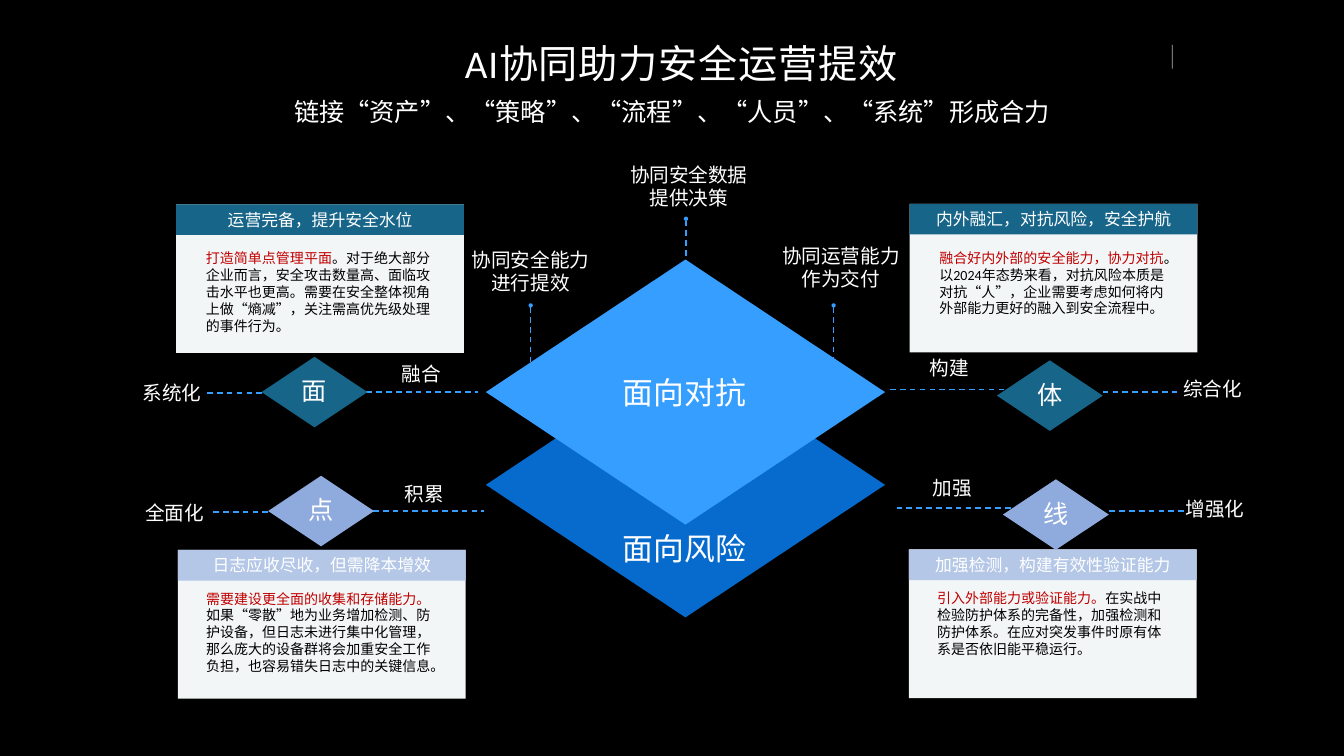
from dataclasses import dataclass

from lxml import etree
from pptx import Presentation
from pptx.dml.color import RGBColor
from pptx.enum.dml import MSO_LINE
from pptx.enum.shapes import MSO_CONNECTOR, MSO_SHAPE
from pptx.enum.text import MSO_ANCHOR, MSO_AUTO_SIZE, PP_ALIGN
from pptx.oxml.ns import qn
from pptx.util import Inches, Pt

DASH = MSO_LINE.DASH
STRAIGHT = MSO_CONNECTOR.STRAIGHT
RECT, DIAMOND = MSO_SHAPE.RECTANGLE, MSO_SHAPE.DIAMOND
TOP, MIDDLE = MSO_ANCHOR.TOP, MSO_ANCHOR.MIDDLE
GROW, FIXED = MSO_AUTO_SIZE.SHAPE_TO_FIT_TEXT, MSO_AUTO_SIZE.NONE
LEFT, CENTER = PP_ALIGN.LEFT, PP_ALIGN.CENTER

BLACK = RGBColor(0x00, 0x00, 0x00)
WHITE = RGBColor(0xFF, 0xFF, 0xFF)
RED = RGBColor(0xC0, 0x00, 0x00)
PAPER = RGBColor(0xF3, 0xF6, 0xF7)
SKY = RGBColor(0x35, 0x9E, 0xFF)
BLUE = RGBColor(0x07, 0x6A, 0xCD)
TEAL = RGBColor(0x17, 0x65, 0x89)
LILAC = RGBColor(0x8F, 0xAA, 0xDC)
PALE = RGBColor(0xB4, 0xC7, 0xE7)

FONT = "Calibri"
WIDE, HIGH = Inches(26.67), Inches(15)
COL, ROW = WIDE / 80, HIGH / 45
PAD = 0.1

deck = Presentation()
deck.slide_width, deck.slide_height = WIDE, HIGH
slide = deck.slides.add_slide(deck.slide_layouts[6])
slide.background.fill.solid()
slide.background.fill.fore_color.rgb = BLACK


@dataclass
class Box:
    x: float
    y: float
    w: float
    h: float

    def place(self) -> tuple[int, int, int, int]:
        return int(self.x * COL), int(self.y * ROW), int(self.w * COL), int(self.h * ROW)


@dataclass
class Tag:
    text: str
    x: float
    y: float
    size: int = 28


@dataclass
class Rule:
    x: float
    y: float
    w: float = 0
    h: float = 0


@dataclass
class Gem:
    text: str
    x: float
    y: float
    tone: RGBColor


@dataclass
class Card:
    x: float
    y: float
    tone: RGBColor
    title: str
    key: str
    body: str
    lines: int
    lead: float
    drop: float


def write(shape, runs: list, size: int, align=LEFT, anchor=TOP, wrap=True, fit=GROW, pad=PAD) -> None:
    frame = shape.text_frame
    look = {"word_wrap": wrap, "auto_size": fit, "vertical_anchor": anchor}
    look |= {f"margin_{side}": Inches(pad) for side in ("left", "right", "top", "bottom")}
    for name, value in look.items():
        setattr(frame, name, value)
    para = frame.paragraphs[0]
    para.alignment = align
    for text, tone in runs:
        run = para.add_run()
        run.text = text
        for name, value in {"name": FONT, "size": Pt(size)}.items():
            setattr(run.font, name, value)
        run.font.color.rgb = tone


def draw_text(box: Box, runs: list, size: int, **form):
    shape = slide.shapes.add_textbox(*box.place())
    write(shape, runs, size, **form)
    return shape


def draw_shape(kind, box: Box, tone: RGBColor):
    shape = slide.shapes.add_shape(kind, *box.place())
    shape.shadow.inherit = False
    shape.fill.solid()
    shape.fill.fore_color.rgb = tone
    shape.line.fill.background()
    return shape


def draw_rule(rule: Rule, tone: RGBColor = SKY, width: int = 2, dash=DASH, dot: bool = False):
    x, y, w, h = Box(rule.x, rule.y, rule.w, rule.h).place()
    link = slide.shapes.add_connector(STRAIGHT, x, y, x + w, y + h)
    link.line.color.rgb = tone
    link.line.width = Pt(width)
    if dash:
        link.line.dash_style = dash
    if dot:
        etree.SubElement(link.line._get_or_add_ln(), qn("a:headEnd"), type="oval")
    etree.SubElement(link._element.spPr, qn("a:effectLst"))
    return link


def draw_tag(tag: Tag) -> None:
    box = Box(tag.x, tag.y, len(tag.text) * tag.size / 24 + 0.6, tag.size / 20 + 0.6)
    draw_text(box, [(tag.text, WHITE)], tag.size, wrap=False)


def draw_gem(gem: Gem) -> None:
    draw_shape(DIAMOND, Box(gem.x, gem.y, 6.3, 4.2), gem.tone)
    draw_tag(Tag(gem.text, gem.x + 2.1, gem.y + 0.82, 36))


def draw_card(card: Card) -> None:
    draw_shape(RECT, Box(card.x, card.y, 17.13, 8.85), PAPER)
    head = draw_shape(RECT, Box(card.x, card.y, 17.13, 1.83), card.tone)
    write(head, [(card.title, WHITE)], 24, align=CENTER, anchor=MIDDLE)
    box = Box(card.x + card.lead, card.y + card.drop, 14.22, 0.6 + 1.01 * card.lines)
    draw_text(box, [(card.key, RED), (card.body, BLACK)], 20)


RULES = [
    Rule(x, y, w)
    for x, y, w in (
        (12.33, 23.4, 4.5), (12.69, 30.48, 4.5), (20.64, 23.34, 7.8), (21.03, 30.42, 7.8),
        (52.98, 23.19, 7.8), (53.37, 30.24, 7.8), (65.64, 23.34, 4.5), (66.03, 30.42, 4.5),
    )
]
PINS = [Rule(x, y, h=5.16) for x, y in ((31.59, 18.18), (40.83, 13.02), (49.62, 18.18))]
NOTES = [
    Tag("协同安全能力进行提效", 27.78, 14.43),
    Tag("协同安全数据提供决策", 37.2, 9.39),
    Tag("协同运营能力作为交付", 46.26, 14.19),
]
TAGS = [
    Tag("面向风险", 36.78, 31.23, 44), Tag("面向对抗", 36.78, 21.93, 44),
    Tag("全面化", 8.34, 29.49), Tag("系统化", 8.19, 22.35),
    Tag("积累", 23.79, 28.38), Tag("融合", 23.61, 21.24),
    Tag("加强", 55.23, 28.05), Tag("构建", 55.05, 20.91),
    Tag("增强化", 70.29, 29.28), Tag("综合化", 70.14, 22.14),
]
GEMS = [
    Gem("面", 15.57, 21.24, TEAL), Gem("点", 15.96, 28.32, LILAC),
    Gem("线", 59.7, 28.53, LILAC), Gem("体", 59.34, 21.45, TEAL),
]
CARDS = [
    Card(10.49, 12.16, TEAL, "运营完备，提升安全水位", "打造简单点管理平面",
         "。对于绝大部分企业而言，安全攻击数量高、面临攻击水平也更高。需要在安全整体视角上做“熵减”，关注需高优先级处理的事件行为。",
         5, 1.47, 2.42),
    Card(10.59, 32.73, PALE, "日志应收尽收，但需降本增效", "需要建设更全面的收集和存储能力。",
         "如果“零散”地为业务增加检测、防护设备，但日志未进行集中化管理，那么庞大的设备群将会加重安全工作负担，也容易错失日志中的关键信息。",
         6, 1.38, 2.1),
    Card(54.1, 32.7, PALE, "加强检测，构建有效性验证能力", "引入外部能力或验证能力。",
         "在实战中检验防护体系的完备性，加强检测和防护体系。在应对突发事件时原有体系是否依旧能平稳运行。",
         4, 1.38, 2.1),
    Card(54.15, 12.13, TEAL, "内外融汇，对抗风险，安全护航", "融合好内外部的安全能力，协力对抗",
         "。以2024年态势来看，对抗风险本质是对抗“人”，企业需要考虑如何将内外部能力更好的融入到安全流程中。",
         5, 1.47, 2.42),
]

mark = draw_rule(Rule(69.78, 2.67, h=1.41), WHITE, 1, None)
tint = mark.line._get_or_add_ln().find(".//" + qn("a:srgbClr"))
etree.SubElement(tint, qn("a:alpha"), val="70000")

draw_text(Box(15, 4.89, 50, 3.48), [("链接“资产”、“策略”、“流程”、“人员”、“系统”形成合力", WHITE)],
          36, align=CENTER, anchor=MIDDLE, fit=FIXED)
title = draw_text(Box(15.57, 2.25, 50, 3.03), [("AI协同助力安全运营提效", WHITE)],
                  56, align=CENTER, anchor=MIDDLE, pad=0.03)
title.text_frame.paragraphs[0].runs[0].font._element.set("spc", "110")

for rule in RULES:
    draw_rule(rule)
for y, tone in ((20.97, BLUE), (15.45, SKY)):
    draw_shape(DIAMOND, Box(28.92, y, 23.76, 15.78), tone)
for pin in PINS:
    draw_rule(pin, dot=True)
for note in NOTES:
    draw_text(Box(note.x, note.y, 7.59, 3.42), [(note.text, WHITE)], note.size, align=CENTER)
for card in CARDS:
    draw_card(card)
for gem in GEMS:
    draw_gem(gem)
for tag in TAGS:
    draw_tag(tag)

deck.save("out.pptx")
